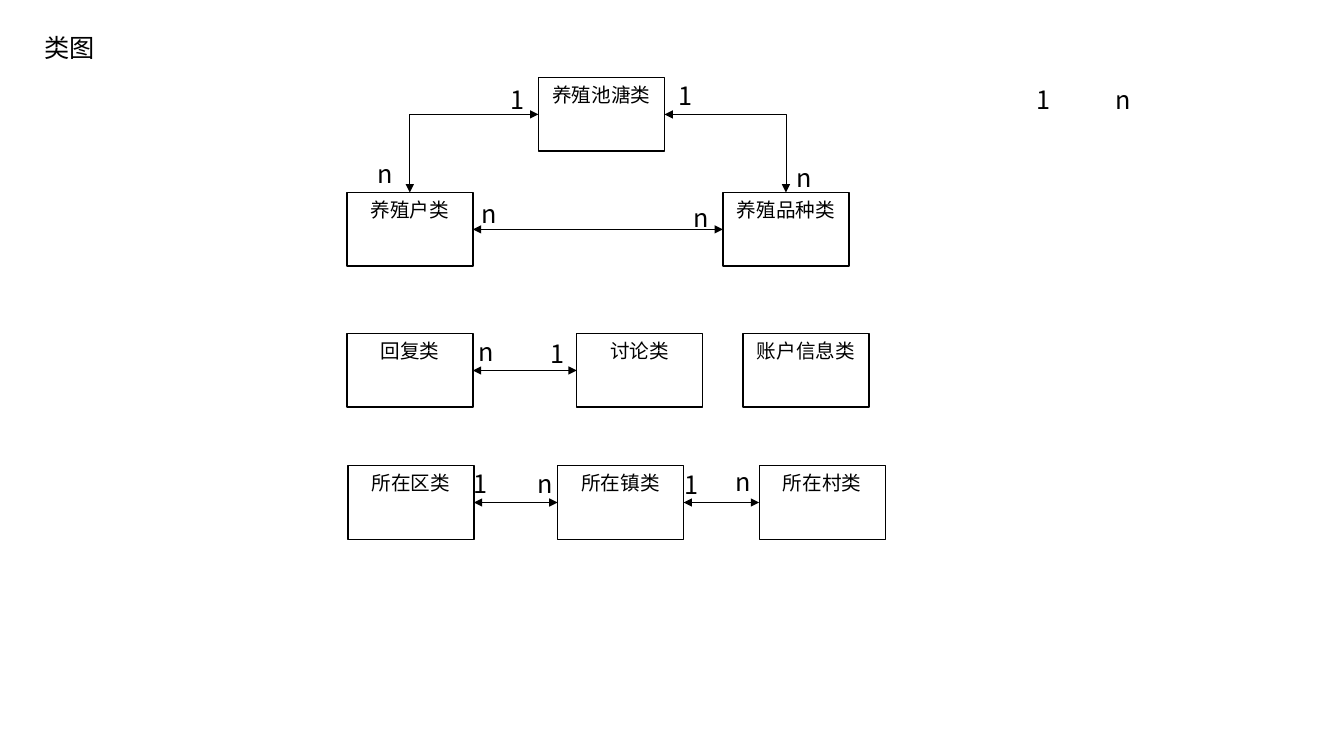
from lxml.etree import SubElement
from pptx import Presentation
from pptx.dml.color import RGBColor
from pptx.enum.shapes import MSO_CONNECTOR, MSO_SHAPE
from pptx.enum.text import MSO_ANCHOR, MSO_AUTO_SIZE, PP_ALIGN
from pptx.oxml.ns import qn
from pptx.util import Inches, Pt

TITLE = ("类图", 0.34, 0.27, 1)

# Row top, then the left edge and name of each class in the row
ROWS = [
    (0.77, [(5.34, "养殖池溏类")]),
    (1.91, [(3.44, "养殖户类"), (7.17, "养殖品种类")]),
    (3.31, [(3.44, "回复类"), (5.72, "讨论类"), (7.37, "账户信息类")]),
    (4.62, [(3.45, "所在区类"), (5.53, "所在镇类"), (7.53, "所在村类")]),
]

# Class and side where each link starts and ends
LINKS = [
    ("养殖池溏类", "left", "养殖户类", "top"),
    ("养殖池溏类", "right", "养殖品种类", "top"),
    ("养殖户类", "right", "养殖品种类", "left"),
    ("回复类", "right", "讨论类", "left"),
    ("所在区类", "right", "所在镇类", "left"),
    ("所在镇类", "right", "所在村类", "left"),
]

# Left and top of each multiplicity mark
MARKS = {
    "1": [(10.18, 0.79), (4.96, 0.79), (6.63, 0.75), (5.36, 3.31),
          (6.69, 4.61), (4.6, 4.6)],
    "n": [(10.97, 0.79), (7.8, 1.56), (3.65, 1.52), (4.68, 1.92),
          (6.78, 1.96), (4.65, 3.29), (7.2, 4.58), (5.23, 4.6)],
}

THEME = {
    "ink": RGBColor(0, 0, 0),
    "paper": RGBColor(255, 255, 255),
    "font": "Noto Sans CJK SC",
    "note": Pt(18),
    "class": Pt(14),
    "edge": Pt(1),
    "link": Pt(0.5),
}
BOX = (1.25, 0.73)
NOTE_H = 0.4
WIDTHS = {"1": 0.38, "n": 0.58}
SITES = {"top": 0, "left": 1, "bottom": 2, "right": 3}
BOX_FRAME = {"word_wrap": True, "vertical_anchor": MSO_ANCHOR.TOP}
NOTE_FRAME = {"word_wrap": True, "auto_size": MSO_AUTO_SIZE.SHAPE_TO_FIT_TEXT}


def assign(item, values):
    """Set each named value on the item."""
    for name, value in values.items():
        setattr(item, name, value)


def write(shape, text, size, align, frame):
    """Put one styled line of text in a shape."""
    assign(shape.text_frame, frame)
    para = shape.text_frame.paragraphs[0]
    para.alignment = align
    run = para.add_run()
    run.text = text
    run.font.color.rgb = THEME["ink"]
    assign(run.font, {"size": THEME[size], "name": THEME["font"]})
    SubElement(run.font._element, qn("a:ea"), typeface=THEME["font"])


def stroke(line, width):
    """Draw a line in ink at a theme width."""
    line.color.rgb = THEME["ink"]
    line.width = THEME[width]


def add_note(slide, text, left, top, width):
    """Add a free text label."""
    area = map(Inches, (left, top, width, NOTE_H))
    note = slide.shapes.add_textbox(*area)
    write(note, text, "note", PP_ALIGN.LEFT, NOTE_FRAME)


def add_class(slide, name, left, top):
    """Add a class box and return it."""
    area = map(Inches, (left, top, *BOX))
    box = slide.shapes.add_shape(MSO_SHAPE.RECTANGLE, *area)
    box.shadow.inherit = False
    box.fill.solid()
    box.fill.fore_color.rgb = THEME["paper"]
    stroke(box.line, "edge")
    write(box, name, "class", PP_ALIGN.CENTER, BOX_FRAME)
    return box


def add_link(slide, start, out, end, into):
    """Join two boxes with a two-headed elbow arrow."""
    link = slide.shapes.add_connector(MSO_CONNECTOR.ELBOW, 0, 0, 0, 0)
    link.begin_connect(start, SITES[out])
    link.end_connect(end, SITES[into])
    stroke(link.line, "link")
    props = link._element.spPr
    if into == "top":
        props.find(qn("a:prstGeom")).set("prst", "bentConnector2")
    for tip in ("a:headEnd", "a:tailEnd"):
        SubElement(props.find(qn("a:ln")), qn(tip), type="triangle")
    SubElement(props, qn("a:effectLst"))


def main():
    """Build the class diagram slide."""
    deck = Presentation()
    assign(deck, {"slide_width": Inches(13.33), "slide_height": Inches(7.5)})
    slide = deck.slides.add_slide(deck.slide_layouts[6])
    add_note(slide, *TITLE)
    boxes = {name: add_class(slide, name, left, top)
             for top, row in ROWS for left, name in row}
    for start, out, end, into in LINKS:
        add_link(slide, boxes[start], out, boxes[end], into)
    for mark, spots in MARKS.items():
        for left, top in spots:
            add_note(slide, mark, left, top, WIDTHS[mark])
    deck.save("out.pptx")


main()
